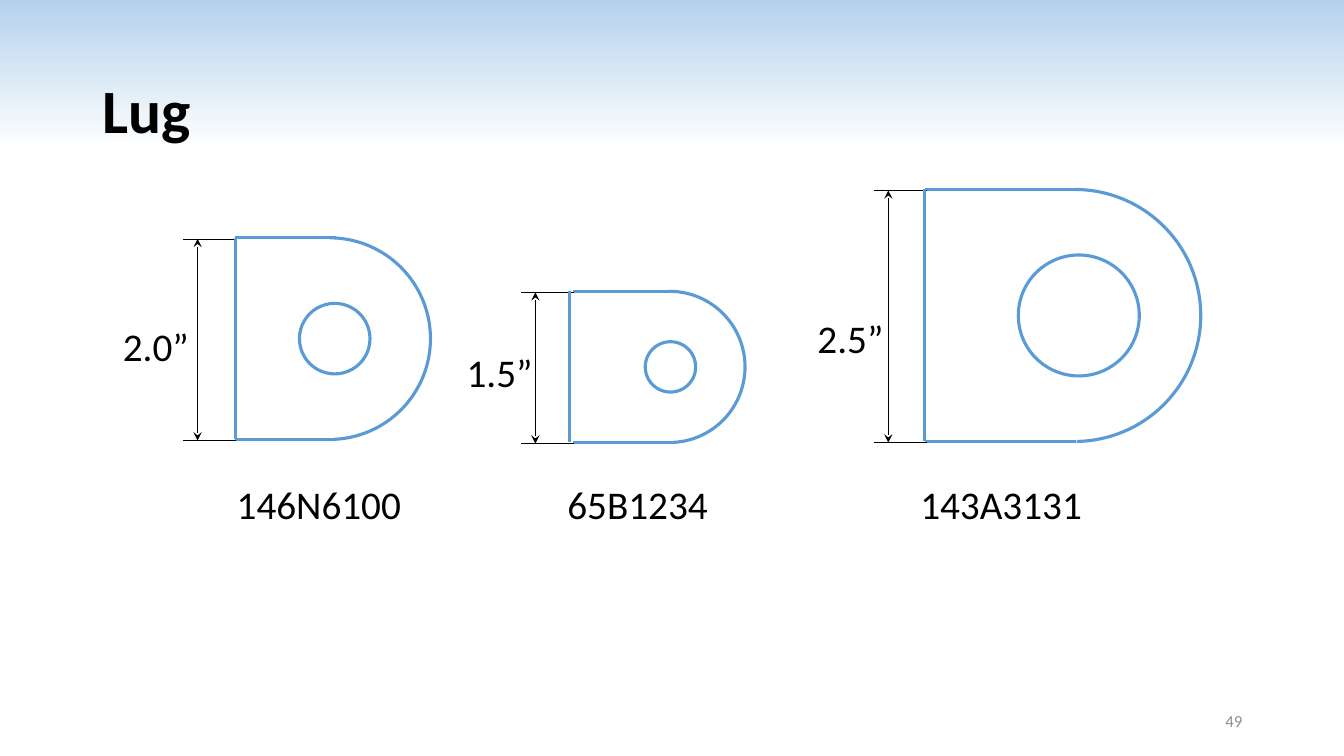
"""Build a slide comparing three lugs with their heights and part numbers."""
import pptx
import pptx.util
import pptx.oxml
import pptx.dml.color
import pptx.enum.shapes
import pptx.enum.text
from pptx.oxml.ns import qn

Inches, Pt = pptx.util.Inches, pptx.util.Pt
ALIGN, ANCHOR = pptx.enum.text.PP_ALIGN, pptx.enum.text.MSO_ANCHOR
SHAPE = pptx.enum.shapes.MSO_SHAPE

COLORS = {"sky": "B5D2EC", "white": "FFFFFF", "lug": "5B9BD5",
          "ink": "000000", "gray": "8C8C8C"}
FONT = "Calibri"
TITLE = "Lug"
PAGE = "49"
LUGS = [
    {"part": "146N6100", "part_at": (2.25, 4.72, 1.86), "size": 2.0,
     "size_at": (1.12, 3.15), "top": 2.36, "flat": (2.33, 1.0), "side": 2.34,
     "arc": 2.27, "sweep": 52.28, "hole": (2.97, 0.7), "dim": 1.96},
    {"part": "65B1234", "part_at": (5.53, 4.72, 1.66), "size": 1.5,
     "size_at": (4.53, 3.41), "top": 2.89, "flat": (5.68, 1.0), "side": 5.65,
     "arc": 5.89, "sweep": 52.28, "hole": (6.4, 0.5), "dim": 5.31},
    {"part": "143A3131", "part_at": (9.03, 4.72, 1.83), "size": 2.5,
     "size_at": (8.01, 3.07), "top": 1.88, "flat": (9.17, 1.5), "side": 9.17,
     "arc": 9.41, "sweep": 53.48, "hole": (10.1, 1.2), "dim": 8.81},
]


def color(name):
    return pptx.dml.color.RGBColor.from_string(COLORS[name])


def style(frame, size, name="ink", bold=False):
    for run in frame.paragraphs[0].runs:
        run.font.name, run.font.size = FONT, Pt(size)
        run.font.bold = bold
        run.font.color.rgb = color(name)


def add_text(slide, text, left, top, width, height, size, name="ink"):
    box = slide.shapes.add_textbox(*map(Inches, (left, top, width, height)))
    frame = box.text_frame
    frame.text = text
    style(frame, size, name)
    return frame


def add_line(slide, start, end, name="lug", width=2.25, arrows=False):
    line = slide.shapes.add_connector(
        pptx.enum.shapes.MSO_CONNECTOR.STRAIGHT, *map(Inches, start + end))
    line.line.color.rgb = color(name)
    line.line.width = Pt(width)
    props = line._element.spPr
    if arrows:
        for tag in ("a:headEnd", "a:tailEnd"):
            tip = pptx.oxml.parse_xml(
                f'<{tag} xmlns:a="http://schemas.openxmlformats.org/drawingml/2006/main"'
                ' type="stealth" w="med" len="med"/>')
            props.find(qn("a:ln")).append(tip)
    props.append(props.makeelement(qn("a:effectLst"), {}))


def add_curve(slide, kind, left, top, size):
    curve = slide.shapes.add_shape(kind, *map(Inches, (left, top, size, size)))
    curve.shadow.inherit = False
    curve.fill.background()
    curve.line.color.rgb = color("lug")
    curve.line.width = Pt(2.25)
    return curve


def draw_lug(slide, lug):
    top, size, side, dim = lug["top"], lug["size"], lug["side"], lug["dim"]
    left, flat = lug["flat"]
    base = top + size
    for y in (top, base):
        add_line(slide, (left, y), (left + flat, y))
        add_line(slide, (dim - 0.14, y + 0.01), (dim + 0.38, y + 0.01), "ink", 0.5)
    add_line(slide, (side, top), (side, base))
    add_line(slide, (dim, top + 0.01), (dim, base + 0.01), "ink", 0.5, True)
    arc = add_curve(slide, SHAPE.ARC, lug["arc"], top, size)
    arc.adjustments[0] = 162
    arc.adjustments[1] = lug["sweep"]
    hole, wide = lug["hole"]
    add_curve(slide, SHAPE.OVAL, hole, top + (size - wide) / 2, wide)
    labels = [(lug["part"], *lug["part_at"]),
              (f"{size:.1f}”", *lug["size_at"], 0.87)]
    for text, x, y, width in labels:
        frame = add_text(slide, text, x, y, width, 0.57, 28)
        frame.word_wrap = False
        frame.auto_size = pptx.enum.text.MSO_AUTO_SIZE.SHAPE_TO_FIT_TEXT


def main():
    deck = pptx.Presentation()
    deck.slide_width, deck.slide_height = Inches(13.33), Inches(7.5)
    slide = deck.slides.add_slide(deck.slide_layouts[5])
    fill = slide.background.fill
    fill.gradient()
    fill.gradient_angle = 270
    for stop, name, place in zip(fill.gradient_stops, ("sky", "white"), (0, 0.2)):
        stop.color.rgb = color(name)
        stop.position = place

    title = slide.shapes.title
    title.left, title.top, title.width, title.height = map(
        Inches, (0.92, 0.4, 11.5, 1.45))
    frame = title.text_frame
    frame.text = TITLE
    frame.vertical_anchor = ANCHOR.MIDDLE
    frame.paragraphs[0].alignment = ALIGN.LEFT
    frame.paragraphs[0].line_spacing = 0.9
    style(frame, 44, bold=True)

    for lug in LUGS:
        draw_lug(slide, lug)

    page = add_text(slide, PAGE, 9.42, 6.95, 3, 0.4, 12, "gray")
    page.word_wrap = True
    page.vertical_anchor = ANCHOR.MIDDLE
    page.paragraphs[0].alignment = ALIGN.RIGHT
    deck.save("out.pptx")


if __name__ == "__main__":
    main()
